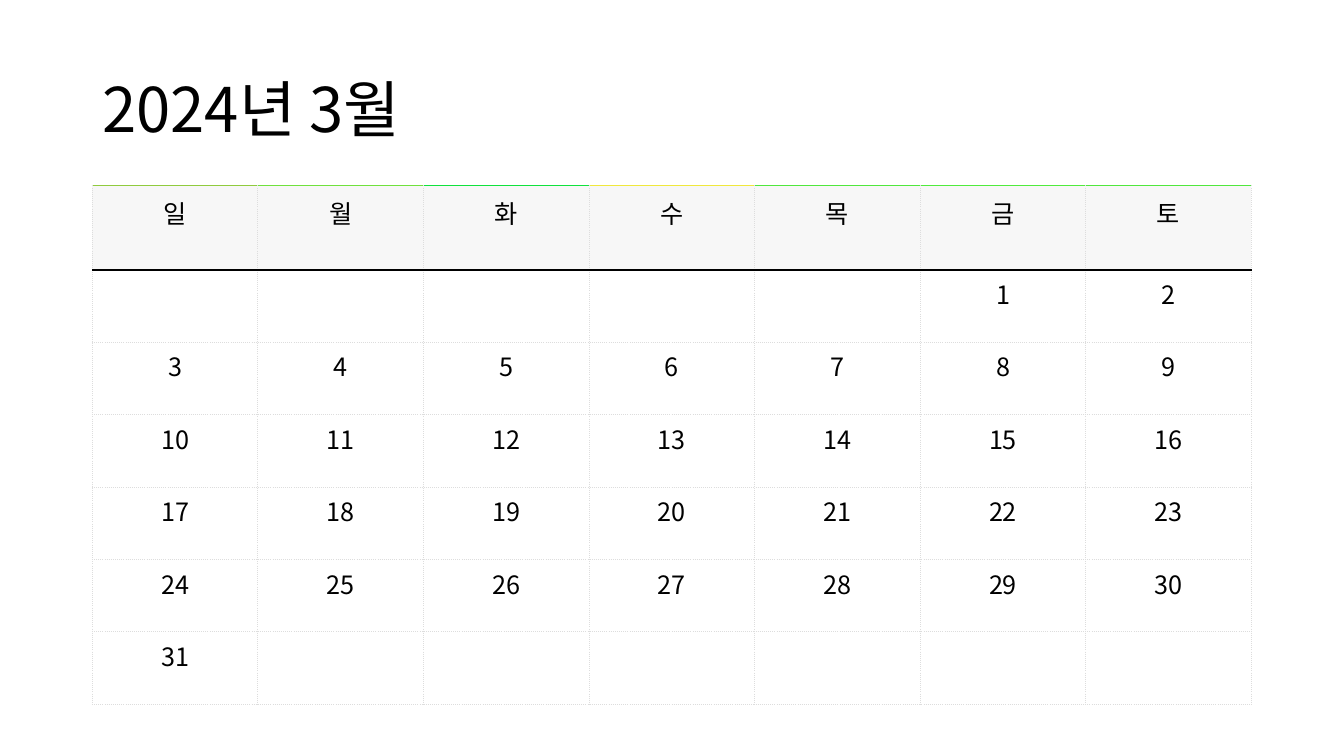
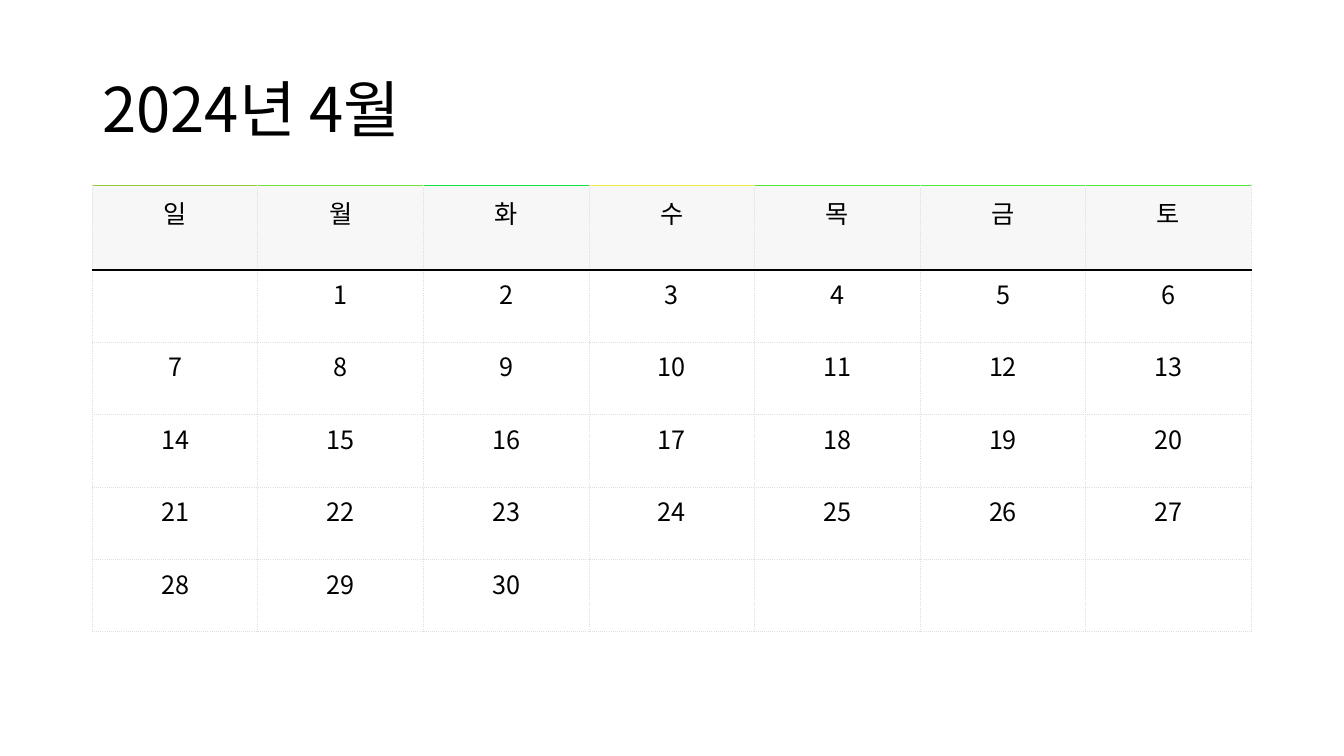
from dataclasses import dataclass

from lxml import etree
from pptx import Presentation
from pptx.dml.color import RGBColor
from pptx.enum.text import MSO_ANCHOR, PP_ALIGN
from pptx.oxml.ns import qn
from pptx.util import Emu, Pt

LEFT, CENTER = PP_ALIGN.LEFT, PP_ALIGN.CENTER
TOP, MIDDLE = MSO_ANCHOR.TOP, MSO_ANCHOR.MIDDLE

MONTHS = [
    {"title": "2024년 3월", "first_column": 5, "days": 31},
    {"title": "2024년 4월", "first_column": 1, "days": 30},
]
WEEKDAYS = [
    ("일", "90CB3E"),
    ("월", "70E13D"),
    ("화", "10E23D"),
    ("수", "F0E83D"),
    ("목", "50E73D"),
    ("금", "50EB3D"),
    ("토", "50E73D"),
]


@dataclass(frozen=True)
class Theme:
    font: str = "Noto Sans CJK KR"
    ink: str = "000000"
    paper: str = "FFFFFF"
    header: str = "F7F7F7"
    grid: str = "DDDDDD"
    title_size: int = 44
    cell_size: int = 18
    thin: float = 0.75
    thick: float = 1.5


THEME = Theme()
GRID_LINE = (THEME.grid, THEME.thin, "dot")
HEADER_RULE = (THEME.ink, THEME.thick, "solid")

SLIDE_SIZE = (1280, 720)
MARGIN, CONTENT_WIDTH = 88, 1104
TITLE_TOP, TITLE_HEIGHT = 38, 139
CALENDAR_TOP = TITLE_TOP + TITLE_HEIGHT
HEADER_HEIGHT, WEEK_HEIGHT = 80, 69
HEADER_INSET, DAY_INSET = 8, 5


def px(length):
    return Emu(round(length * 9525))


def write(frame, text, *, size, align=LEFT, line_spacing=1.0):
    paragraph = frame.paragraphs[0]
    paragraph.alignment = align
    paragraph.line_spacing = line_spacing
    run = paragraph.add_run()
    run.text = text
    font = run.font
    font.name = THEME.font
    font.size = Pt(size)
    font.color.rgb = RGBColor.from_string(THEME.ink)
    east_asian = etree.SubElement(font._element, qn("a:ea"))
    east_asian.set("typeface", THEME.font)


def add_border(cell, side, color, width, dash):
    line = etree.SubElement(cell._tc.get_or_add_tcPr(), qn(f"a:ln{side}"), w=str(Pt(width)))
    fill = etree.SubElement(line, qn("a:solidFill"))
    etree.SubElement(fill, qn("a:srgbClr"), val=color)
    etree.SubElement(line, qn("a:prstDash"), val=dash)


def format_cell(cell, text, *, fill, inset, top, bottom):
    cell.margin_left = cell.margin_right = px(inset)
    cell.margin_top = cell.margin_bottom = px(inset)
    cell.vertical_anchor = TOP
    for side, border in zip("LRTB", (GRID_LINE, GRID_LINE, top, bottom)):
        add_border(cell, side, *border)
    cell.fill.solid()
    cell.fill.fore_color.rgb = RGBColor.from_string(fill)
    if text:
        write(cell.text_frame, text, size=THEME.cell_size, align=CENTER)


def add_title(slide, title):
    frame = slide.shapes.add_textbox(
        px(MARGIN), px(TITLE_TOP), px(CONTENT_WIDTH), px(TITLE_HEIGHT)
    ).text_frame
    frame.word_wrap = True
    frame.vertical_anchor = MIDDLE
    write(frame, title, size=THEME.title_size, line_spacing=0.9)


def add_calendar(slide, first_column, days):
    columns = len(WEEKDAYS)
    weeks = -(-(first_column + days) // columns)
    calendar = slide.shapes.add_table(
        weeks + 1, columns, px(MARGIN), px(CALENDAR_TOP),
        px(CONTENT_WIDTH), px(HEADER_HEIGHT + weeks * WEEK_HEIGHT),
    ).table
    calendar.first_row = calendar.horz_banding = False
    for column in calendar.columns:
        column.width = px(CONTENT_WIDTH / columns)
    for index, row in enumerate(calendar.rows):
        row.height = px(WEEK_HEIGHT if index else HEADER_HEIGHT)

    for column, (weekday, accent) in enumerate(WEEKDAYS):
        format_cell(
            calendar.cell(0, column), weekday, fill=THEME.header, inset=HEADER_INSET,
            top=(accent, THEME.thin, "solid"), bottom=HEADER_RULE,
        )
    for slot in range(weeks * columns):
        week, column = divmod(slot, columns)
        day = slot - first_column + 1
        format_cell(
            calendar.cell(week + 1, column), str(day) if 1 <= day <= days else "",
            fill=THEME.paper, inset=DAY_INSET,
            top=GRID_LINE if week else HEADER_RULE, bottom=GRID_LINE,
        )


def main():
    deck = Presentation()
    deck.slide_width, deck.slide_height = map(px, SLIDE_SIZE)
    blank = deck.slide_layouts[6]
    for month in MONTHS:
        slide = deck.slides.add_slide(blank)
        add_title(slide, month["title"])
        add_calendar(slide, month["first_column"], month["days"])
    deck.save("out.pptx")


if __name__ == "__main__":
    main()
